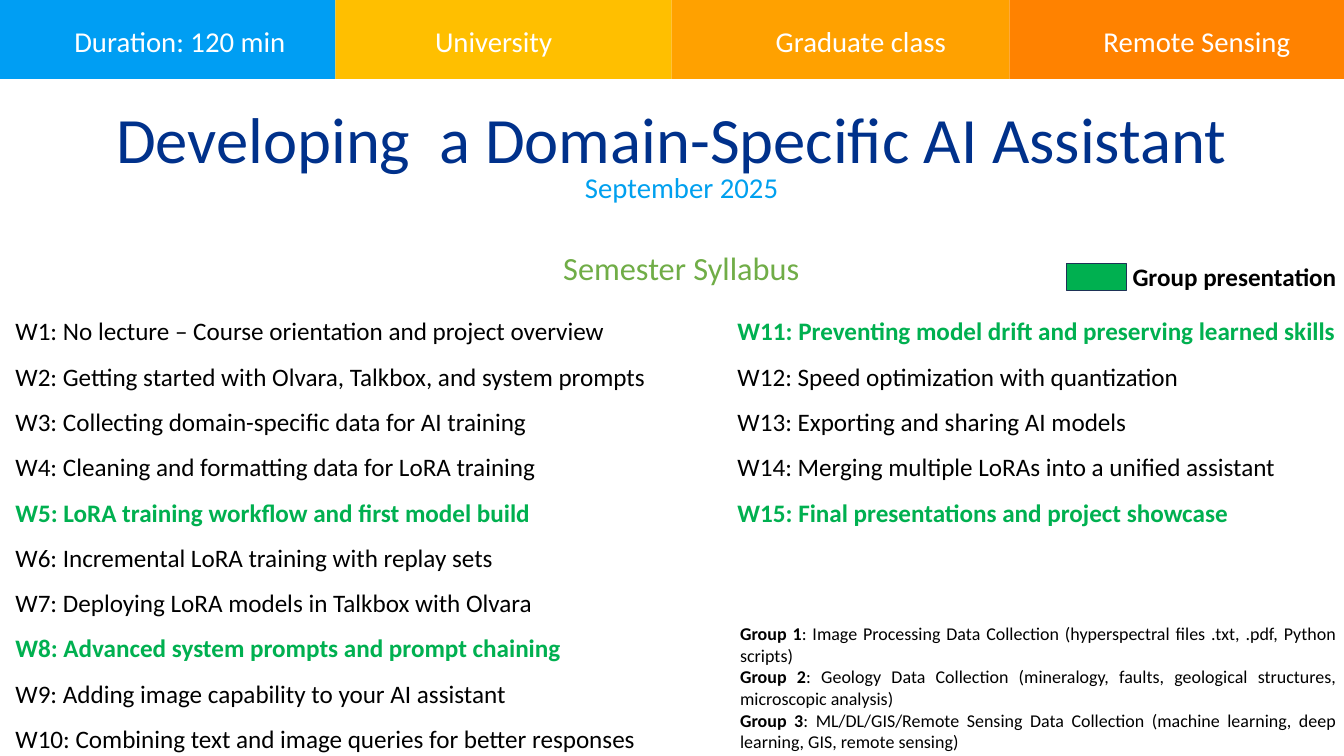
import itertools

import pptx
import pptx.dml.color
import pptx.enum.shapes
import pptx.enum.text
import pptx.util

Inches = pptx.util.Inches
Pt = pptx.util.Pt
Align = pptx.enum.text.PP_ALIGN
Anchor = pptx.enum.text.MSO_ANCHOR
Rgb = pptx.dml.color.RGBColor.from_string
RECTANGLE = pptx.enum.shapes.MSO_SHAPE.RECTANGLE

COLORS = {
    "blue": "009EF3", "yellow": "FFBF00", "amber": "FFA100", "orange": "FF8200",
    "white": "FFFFFF", "black": "000000", "navy": "00318B", "sky": "00A0EF",
    "leaf": "70AD47", "green": "00B050", "outline": "1E3256",
}
PAGE_WIDTH = 20.79

deck = pptx.Presentation()
deck.slide_width = Inches(PAGE_WIDTH)
deck.slide_height = Inches(11.69)
page = deck.slides.add_slide(deck.slide_layouts[6])


def add_box(left, top, width, height, padded=True, wrap=True, anchor=Anchor.TOP):
    box = page.shapes.add_textbox(Inches(left), Inches(top), Inches(width), Inches(height))
    frame = box.text_frame
    frame.word_wrap = wrap
    frame.vertical_anchor = anchor
    if not padded:
        frame.margin_left = frame.margin_right = frame.margin_top = frame.margin_bottom = 0
    return frame


def write(para, text, size=28, color="black", bold=False, align=Align.LEFT, spacing=None):
    para.alignment = align
    para.line_spacing = spacing
    span = para.add_run()
    span.text = text
    span.font.name = "Calibri"
    span.font.size = Pt(size)
    span.font.bold = bold
    span.font.color.rgb = Rgb(COLORS[color])


band_edges = [0, 5.19, 10.39, 15.62, PAGE_WIDTH]
band_labels = [
    ("blue", "Duration: 120 min", 1.15),
    ("yellow", "University", 6.73),
    ("amber", "Graduate class", 12),
    ("orange", "Remote Sensing", 17.07),
]
for (left, right), (color, label, label_left) in zip(itertools.pairwise(band_edges), band_labels):
    band = page.shapes.add_shape(RECTANGLE, Inches(left), 0, Inches(right - left), Inches(1.22))
    band.shadow.inherit = False
    band.fill.solid()
    band.fill.fore_color.rgb = Rgb(COLORS[color])
    band.line.fill.background()
    frame = add_box(label_left, 0.37, 3.6, 0.54, padded=False)
    write(frame.paragraphs[0], label, size=32, color="white")

headings = [
    ("Developing  a Domain-Specific AI Assistant", 72, "navy", 1.36, 1.53, 18.06, 1.22),
    ("September 2025", 32, "sky", 6.23, 2.62, 8.63, 0.54),
    ("Semester Syllabus", 36, "leaf", 5.25, 3.84, 10.58, 0.61),
]
for text, size, color, *place in headings:
    frame = add_box(*place, padded=False)
    write(frame.paragraphs[0], text, size=size, color=color, align=Align.CENTER)

legend = page.shapes.add_shape(RECTANGLE, Inches(16.5), Inches(4.07), Inches(0.92), Inches(0.42))
legend.shadow.inherit = False
legend.fill.solid()
legend.fill.fore_color.rgb = Rgb(COLORS["green"])
legend.line.color.rgb = Rgb(COLORS["outline"])
legend.line.width = Pt(1)
frame = add_box(17.42, 4, 3.39, 0.57, wrap=False)
write(frame.paragraphs[0], "Group presentation", bold=True)

weeks = [
    "No lecture – Course orientation and project overview",
    "Getting started with Olvara, Talkbox, and system prompts",
    "Collecting domain-specific data for AI training",
    "Cleaning and formatting data for LoRA training",
    "LoRA training workflow and first model build",
    "Incremental LoRA training with replay sets",
    "Deploying LoRA models in Talkbox with Olvara",
    "Advanced system prompts and prompt chaining",
    "Adding image capability to your AI assistant",
    "Combining text and image queries for better responses",
    "Preventing model drift and preserving learned skills",
    "Speed optimization with quantization",
    "Exporting and sharing AI models",
    "Merging multiple LoRAs into a unified assistant",
    "Final presentations and project showcase",
]
presentation_weeks = {5, 8, 11, 15}
for left, height, first, last in [(0.14, 7.1, 1, 10), (11.31, 3.56, 11, 15)]:
    frame = add_box(left, 4.6, 10.39, height)
    for week in range(first, last + 1):
        para = frame.paragraphs[0] if week == first else frame.add_paragraph()
        presents = week in presentation_weeks
        write(para, f"W{week}: {weeks[week - 1]}", color="green" if presents else "black",
              bold=presents, spacing=1.5)

groups = [
    "Image Processing Data Collection (hyperspectral files .txt, .pdf, Python scripts)",
    "Geology Data Collection (mineralogy, faults, geological structures, microscopic analysis)",
    "ML/DL/GIS/Remote Sensing Data Collection (machine learning, deep learning, GIS, remote sensing)",
]
frame = add_box(11.35, 9.57, 9.42, 2.12, anchor=Anchor.MIDDLE)
for number, topic in enumerate(groups, 1):
    para = frame.paragraphs[0] if number == 1 else frame.add_paragraph()
    write(para, f"Group {number}", size=20, bold=True, align=Align.JUSTIFY)
    write(para, f": {topic}", size=20, align=Align.JUSTIFY)

deck.save("out.pptx")
